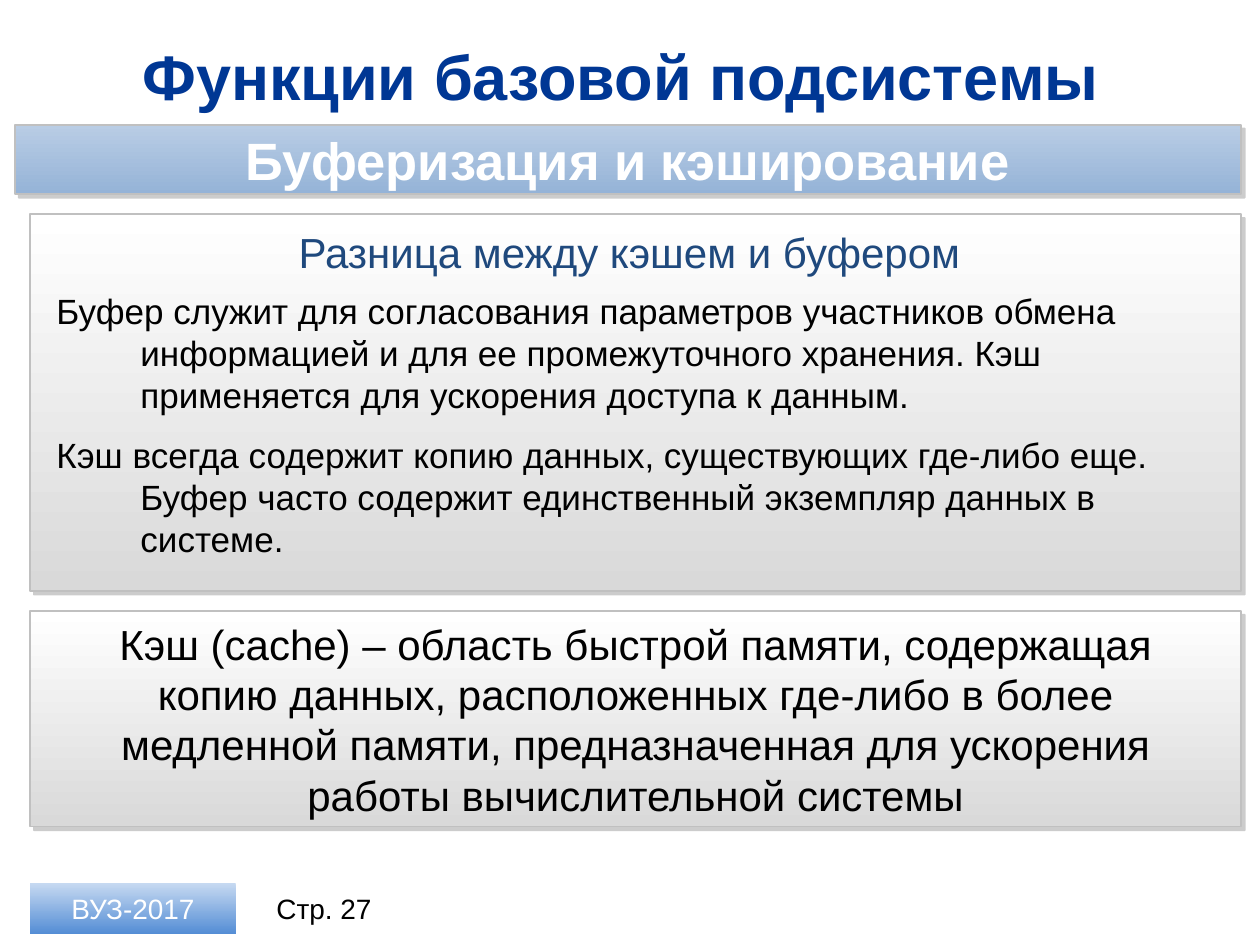
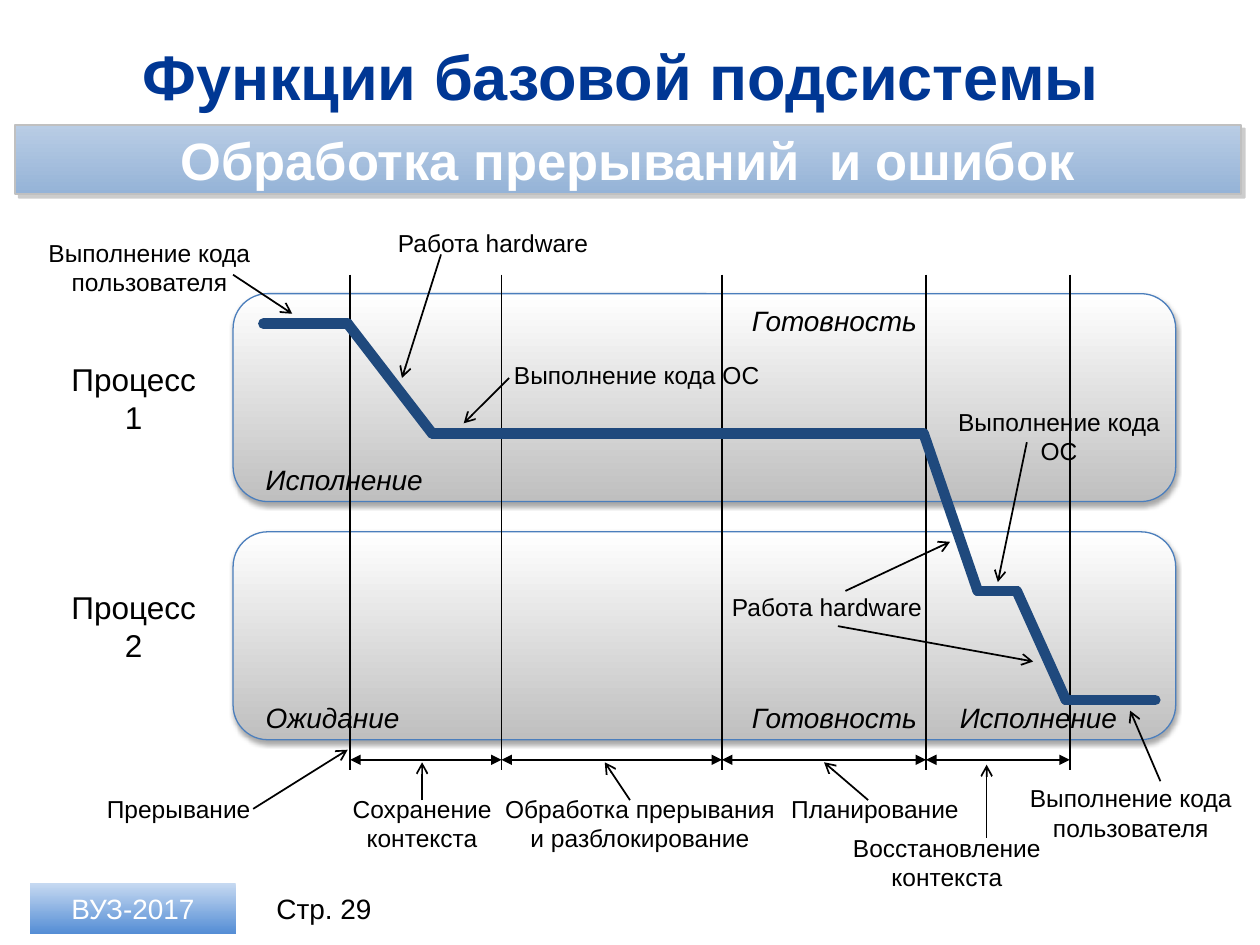
from dataclasses import dataclass
from itertools import pairwise

from lxml.etree import SubElement
from pptx import Presentation
from pptx.dml.color import RGBColor
from pptx.enum.shapes import MSO_CONNECTOR as Connector, MSO_SHAPE as Preset
from pptx.enum.text import MSO_ANCHOR as Anchor, PP_ALIGN as Align
from pptx.oxml.ns import qn
from pptx.util import Pt

TITLE = "Функции базовой подсистемы "
FOOTER = "ВУЗ-2017"

BUFFERING = {
    "banner": "Буферизация и кэширование",
    "page": 27,
    "heading": "Разница между кэшем и буфером",
    "body": [
        "Буфер служит для согласования параметров участников обмена информацией "
        "и для ее промежуточного хранения. Кэш применяется для ускорения доступа к данным.",
        "Кэш всегда содержит копию данных, существующих где-либо еще. "
        "Буфер часто содержит единственный экземпляр данных в системе.",
    ],
    "definition": "Кэш (cache) – область быстрой памяти, содержащая копию данных, "
    "расположенных где-либо в более медленной памяти, предназначенная "
    "для ускорения работы вычислительной системы",
}

INTERRUPTS = {
    "banner": "Обработка прерываний  и ошибок",
    "page": 29,
    "processes": ["Процесс 1", "Процесс 2"],
    # text, left, top, width
    "states": [
        ("Исполнение", 144.7, 260.6, 108),
        ("Ожидание", 144.7, 396.7, 108),
        ("Готовность", 422.6, 396.7, 118.8),
        ("Готовность", 422.6, 169.9, 118.8),
        ("Исполнение", 541.4, 396.7, 108),
    ],
    # lines, left, top, width, alignment
    "labels": [
        (["Выполнение кода пользователя"], 20.2, 132.5, 130.3, Align.CENTER),
        (["Прерывание"], 54, 450, 108, Align.LEFT),
        (["Работа hardware"], 220.3, 126.7, 124.6, Align.LEFT),
        (["Выполнение кода ОС"], 286.6, 202.3, 158.4, Align.LEFT),
        (["Сохранение контекста"], 190.1, 450, 102.2, Align.CENTER),
        (["Обработка прерывания", "и разблокирование"], 280.8, 450, 169.9, Align.CENTER),
        (["Планирование"], 445, 450, 118.8, Align.LEFT),
        (["Работа hardware"], 411.1, 334.8, 124.6, Align.LEFT),
        (["Выполнение кода", "ОС"], 532.8, 229, 144.7, Align.CENTER),
        (["Восстановление контекста"], 478.8, 472.3, 124.6, Align.CENTER),
        (["Выполнение кода пользователя"], 581, 444.2, 130.3, Align.CENTER),
    ],
    "pointers": [
        ((133.2, 157), (167, 179.3)),
        ((144.7, 462.2), (198.7, 428.4)),
        ((252, 145.4), (229.7, 216)),
        ((290.9, 216), (265, 241.9)),
        ((241.2, 457.2), (241.2, 435.6)),
        ((360, 457.2), (345.6, 435.6)),
        ((496.1, 457.2), (470.9, 435.6)),
        ((483.1, 337.7), (542.9, 309.6)),
        ((478.8, 357.8), (590.4, 378)),
        ((586.8, 252.7), (570.2, 332.6)),
        ((563.8, 478.8), (563.8, 437)),
        ((663.1, 446.4), (645.8, 406.1)),
    ],
    "moments": [200.2, 286.6, 412.6, 529.2, 611.3],
    "trace": [
        (150.5, 185), (198.7, 185), (247, 247.7), (283, 247.7), (411.1, 247.7),
        (527.8, 247.7), (558.7, 337.7), (581, 337.7), (609.1, 400), (660.2, 400),
    ],
}


@dataclass(frozen=True)
class Theme:
    font: str = "Arial"
    title: str = "003794"
    accent: str = "1F497D"
    text: str = "000000"
    white: str = "FFFFFF"
    border: str = "C0C0C0"
    lane_border: str = "4B7EBC"
    # gradients from top to bottom
    banner_fill: tuple = ("B9CDE5", "95B3D7")
    footer_fill: tuple = ("C6D9F1", "558ED5")
    panel_fill: tuple = ("FFFFFF", "D9D9D9")
    lane_fill: tuple = ("FFFFFF", "BFBFBF")
    # shadows: colour, opacity %, blur, distance, angle
    panel_shadow: tuple = ("808080", 40, 0, 3, 45)
    lane_shadow: tuple = ("000000", 35, 3.1, 1.8, 90)
    title_size: int = 36
    banner_size: int = 30
    lead_size: int = 24
    body_size: int = 20
    process_size: int = 18
    small_size: int = 16
    label_size: int = 14


THEME = Theme()
PANEL_LEFT, PANEL_WIDTH = 17.3, 691.9
WIDE_INSETS = (17.3, 2.9)
LANE_TOP, LANE_HEIGHT, LANE_PITCH = 167.8, 118.8, 136.1


def write(box, lines, size, color=THEME.text, align=Align.CENTER, anchor=Anchor.TOP,
          bold=False, italic=False, insets=(7.2, 3.6)):
    frame = box.text_frame
    frame.word_wrap = True
    frame.vertical_anchor = anchor
    frame.margin_left = frame.margin_right = Pt(insets[0])
    frame.margin_top = frame.margin_bottom = Pt(insets[1])
    frame.text = "\n".join(lines)
    for para in frame.paragraphs:
        para.alignment = align
        font = para.font
        font.name, font.size = THEME.font, Pt(size)
        font.bold, font.italic = bold, italic
        font.color.rgb = RGBColor.from_string(color)
    return frame


def add_text(page, area, lines, size, **style):
    box = page.shapes.add_textbox(*map(Pt, area))
    return write(box, lines, size, **style)


def add_panel(page, area, colors, border=None, width=1, shadow=None, preset=Preset.RECTANGLE):
    """Add a shape with a vertical gradient and, if given, a border and shadow."""
    panel = page.shapes.add_shape(preset, *map(Pt, area))
    panel.fill.gradient()
    panel.fill.gradient_angle = 270
    for stop, color in zip(panel.fill.gradient_stops, colors):
        stop.color.rgb = RGBColor.from_string(color)
    if border:
        panel.line.color.rgb = RGBColor.from_string(border)
        panel.line.width = Pt(width)
    else:
        panel.line.fill.background()
    panel.shadow.inherit = False
    if shadow:
        color, opacity, blur, distance, angle = shadow
        effects = panel._element.spPr.find(qn("a:effectLst"))
        outer = SubElement(effects, qn("a:outerShdw"), blurRad=str(Pt(blur)),
                           dist=str(Pt(distance)), dir=str(angle * 60000),
                           algn="ctr", rotWithShape="0")
        tint = SubElement(outer, qn("a:srgbClr"), val=color)
        SubElement(tint, qn("a:alpha"), val=str(opacity * 1000))
    return panel


def add_line(page, start, end, color=THEME.text, width=1, head=None, tail=None, cap="flat"):
    line = page.shapes.add_connector(Connector.STRAIGHT, *map(Pt, (*start, *end)))
    line.line.color.rgb = RGBColor.from_string(color)
    line.line.width = Pt(width)
    properties = line._element.spPr
    stroke = properties.find(qn("a:ln"))
    stroke.set("cap", cap)
    for tag, kind in (("a:headEnd", head), ("a:tailEnd", tail)):
        if kind:
            SubElement(stroke, qn(tag), type=kind)
    SubElement(properties, qn("a:effectLst"))


def add_page(deck, content):
    """Add a page with the shared title, banner and footer."""
    page = deck.slides.add_slide(deck.slide_layouts[6])
    add_text(page, (25.2, 18.7, 668.9, 49), [TITLE], THEME.title_size,
             color=THEME.title, bold=True, anchor=Anchor.MIDDLE)
    banner = add_panel(page, (8.6, 71.3, 700.6, 39.6), THEME.banner_fill,
                       THEME.border, shadow=THEME.panel_shadow)
    write(banner, [content["banner"]], THEME.banner_size, color=THEME.white, bold=True,
          anchor=Anchor.MIDDLE, insets=WIDE_INSETS)
    footer = add_panel(page, (PANEL_LEFT, 504.7, 117.4, 28.8), THEME.footer_fill)
    write(footer, [FOOTER], THEME.small_size, color=THEME.white, anchor=Anchor.MIDDLE)
    add_text(page, (146.2, 504.7, 77.8, 28.8), [f"Стр. {content['page']}"],
             THEME.small_size, anchor=Anchor.MIDDLE)
    return page


def build_buffering(deck, content):
    page = add_page(deck, content)
    panels = [
        add_panel(page, (PANEL_LEFT, top, PANEL_WIDTH, height), THEME.panel_fill,
                  THEME.border, shadow=THEME.panel_shadow)
        for top, height in ((122.4, 215.3), (349.2, 123.1))
    ]
    write(panels[1], [content["definition"]], THEME.lead_size,
          anchor=Anchor.MIDDLE, insets=WIDE_INSETS)
    add_text(page, (72, 126, 575.3, 36), [content["heading"]], THEME.lead_size,
             color=THEME.accent)
    body = add_text(page, (25.2, 162, 672.5, 164.2), content["body"], THEME.body_size,
                    align=Align.LEFT)
    for para in body.paragraphs:
        para.space_after = Pt(10)
        indent = para._p.get_or_add_pPr()
        indent.set("marL", str(Pt(48)))
        indent.set("indent", str(-Pt(48)))


def build_interrupts(deck, content):
    page = add_page(deck, content)
    for row, process in enumerate(content["processes"]):
        top = LANE_TOP + row * LANE_PITCH
        add_panel(page, (133.2, top, 538.6, LANE_HEIGHT), THEME.lane_fill, THEME.lane_border,
                  0.75, THEME.lane_shadow, Preset.ROUNDED_RECTANGLE)
        add_text(page, (31, 202.3 + row * 130.4, 90.7, 51.1), [process], THEME.process_size)

    for moment in content["moments"]:
        add_line(page, (moment, 157), (moment, 440))
    for start, end in pairwise(content["moments"]):
        add_line(page, (start, 434.2), (end, 434.2), head="triangle", tail="triangle")
    for start, end in pairwise(content["trace"]):
        add_line(page, start, end, THEME.accent, 6, cap="rnd")
    for start, end in content["pointers"]:
        add_line(page, start, end, tail="arrow")

    for state, left, top, width in content["states"]:
        add_text(page, (left, top, width, 26.6), [state], THEME.small_size,
                 align=Align.LEFT, italic=True)
    for lines, left, top, width, align in content["labels"]:
        height = 24.5 if align == Align.LEFT else 41
        add_text(page, (left, top, width, height), lines, THEME.label_size, align=align)


def main():
    deck = Presentation()
    deck.slide_width, deck.slide_height = Pt(720), Pt(540)
    build_buffering(deck, BUFFERING)
    build_interrupts(deck, INTERRUPTS)
    deck.save("out.pptx")


if __name__ == "__main__":
    main()
